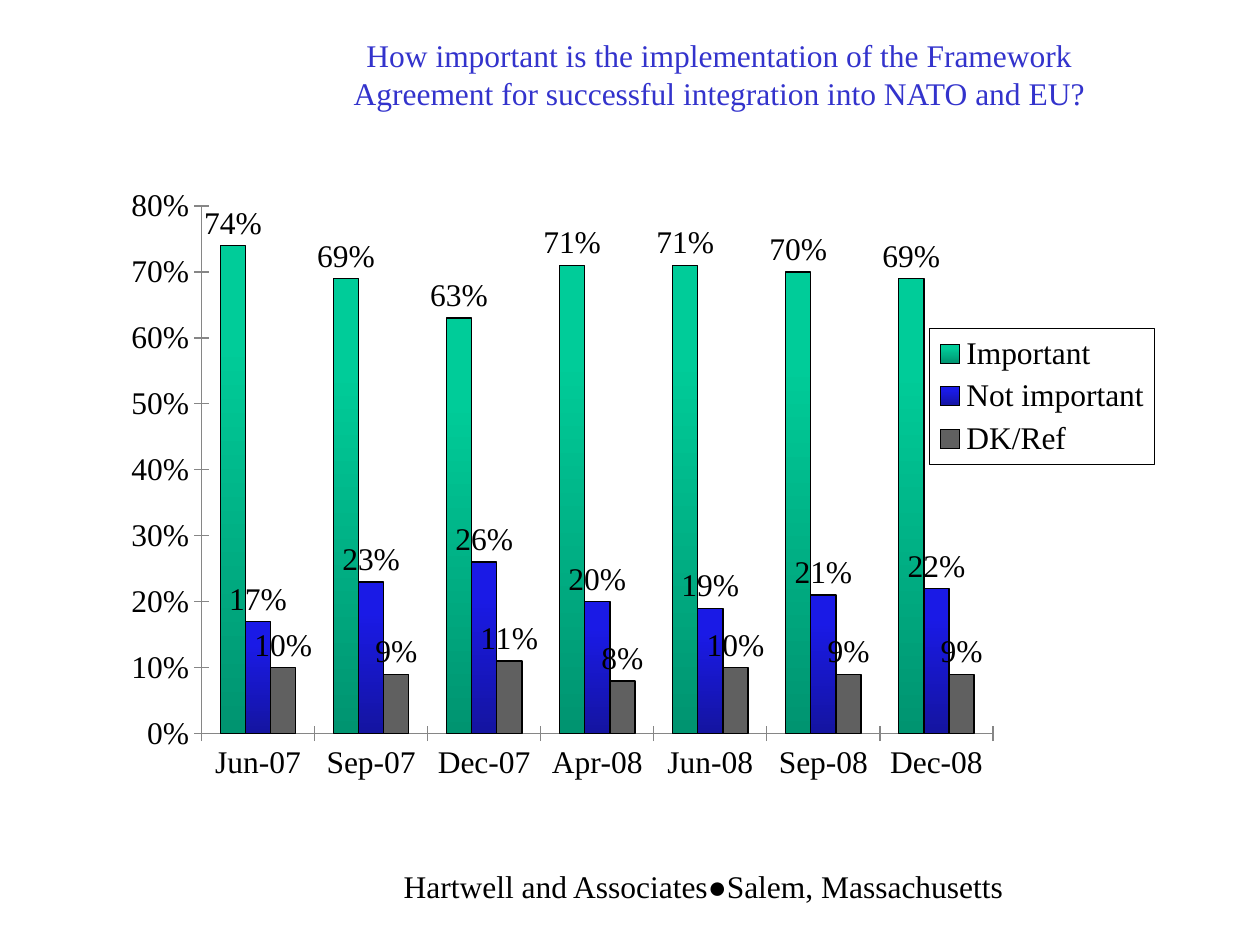
import pptx
import pptx.chart.data
import pptx.dml.color
import pptx.enum.chart
import pptx.enum.text
import pptx.oxml
import pptx.oxml.ns
import pptx.util

Inches, Pt = pptx.util.Inches, pptx.util.Pt
qn = pptx.oxml.ns.qn

# Content
QUESTION = ("How important is the implementation of the Framework Agreement "
            "for successful integration into NATO and EU?")
FOOTER = "Hartwell and Associates●Salem, Massachusetts"
MONTHS = ["Jun-07", "Sep-07", "Dec-07", "Apr-08", "Jun-08", "Sep-08", "Dec-08"]
# answer, percentages, fill colours from top to bottom
ANSWERS = [
    ("Important", [74, 69, 63, 71, 71, 70, 69], ("00CC99", "009470")),
    ("Not important", [17, 23, 26, 20, 19, 21, 22], ("1A1AE6", "1414A0")),
    ("DK/Ref", [10, 9, 11, 8, 10, 9, 9], ("606060",)),
]
FONT = {"name": "Times New Roman", "size": Pt(18)}
PLOT_AREA = (0.1, 0.071, 0.739, 0.773)
LEGEND_AREA = (0.78, 0.25, 0.21, 0.2)


def color(hex_code):
    return pptx.dml.color.RGBColor.from_string(hex_code)


def format_font(font, hex_code="000000"):
    for attribute, value in FONT.items():
        setattr(font, attribute, value)
    font.color.rgb = color(hex_code)


def add_text(slide, text, box, hex_code, anchor):
    frame = slide.shapes.add_textbox(*map(Inches, box)).text_frame
    frame.word_wrap = True
    frame.vertical_anchor = anchor
    paragraph = frame.paragraphs[0]
    paragraph.text = text
    paragraph.alignment = pptx.enum.text.PP_ALIGN.CENTER
    format_font(paragraph.runs[0].font, hex_code)


def manual_layout(area, target=""):
    """Layout element for an area given as fractions of the chart."""
    modes = '<c:xMode val="edge"/><c:yMode val="edge"/>'
    sizes = "".join(f'<c:{key} val="{value}"/>' for key, value in zip("xywh", area))
    return pptx.oxml.parse_xml(
        f'<c:layout {pptx.oxml.ns.nsdecls("c")}><c:manualLayout>'
        f"{target}{modes}{sizes}</c:manualLayout></c:layout>")


def fill_bars(fill, colors):
    if len(colors) == 1:
        fill.solid()
        fill.fore_color.rgb = color(colors[0])
        return
    fill.gradient()
    fill.gradient_angle = 270
    for stop, hex_code, position in zip(fill.gradient_stops, colors, (0.2, 1)):
        stop.color.rgb = color(hex_code)
        stop.position = position


def add_answer_chart(slide):
    data = pptx.chart.data.CategoryChartData(number_format="0%")
    data.categories = MONTHS
    for answer, percentages, _ in ANSWERS:
        data.add_series(answer, [value / 100 for value in percentages])
    chart = slide.shapes.add_chart(
        pptx.enum.chart.XL_CHART_TYPE.COLUMN_CLUSTERED,
        *map(Inches, (0.75, 1.25, 8.5, 5.42)), data).chart
    chart.has_title = False
    format_font(chart.font)

    # Axes
    for axis in (chart.category_axis, chart.value_axis):
        axis.has_major_gridlines = False
        axis.major_tick_mark = pptx.enum.chart.XL_TICK_MARK.CROSS
        axis.format.line.color.rgb = color("868686")
        format_font(axis.tick_labels.font)
    scale = chart.value_axis
    scale.minimum_scale, scale.maximum_scale, scale.major_unit = 0, 0.8, 0.1
    scale.tick_labels.number_format = "0%"
    scale.tick_labels.number_format_is_linked = False

    # Bars and their labels
    bars = chart.plots[0]
    for attribute, value in {"gap_width": 150, "overlap": 0,
                             "vary_by_categories": False}.items():
        setattr(bars, attribute, value)
    for series, (_, _, colors) in zip(bars.series, ANSWERS):
        fill_bars(series.format.fill, colors)
        series.format.line.color.rgb = color("000000")
        series.format.line.width = Pt(0.75)
        labels = series.data_labels
        for attribute, value in {
                "show_value": True, "number_format": "0%",
                "number_format_is_linked": False,
                "position": pptx.enum.chart.XL_LABEL_POSITION.OUTSIDE_END}.items():
            setattr(labels, attribute, value)
        format_font(labels.font)

    # Framed legend over the right edge of the plot
    chart.has_legend = True
    legend = chart.legend
    legend.position = pptx.enum.chart.XL_LEGEND_POSITION.RIGHT
    legend.include_in_layout = False
    format_font(legend.font)
    frame = pptx.oxml.parse_xml(
        f'<c:spPr {pptx.oxml.ns.nsdecls("c", "a")}>'
        '<a:solidFill><a:srgbClr val="FFFFFF"/></a:solidFill><a:ln w="9525">'
        '<a:solidFill><a:srgbClr val="000000"/></a:solidFill></a:ln></c:spPr>')

    # Fixed places of plot and legend
    root = chart.element
    plot_area = root.find(".//" + qn("c:plotArea"))
    legend_element = root.find(".//" + qn("c:legend"))
    for parent in (plot_area, legend_element):
        for layout in parent.findall(qn("c:layout")):
            parent.remove(layout)
    plot_area.insert(0, manual_layout(PLOT_AREA, '<c:layoutTarget val="inner"/>'))
    legend_element.find(qn("c:legendPos")).addnext(manual_layout(LEGEND_AREA))
    legend_element.find(qn("c:overlay")).addnext(frame)


def main():
    deck = pptx.Presentation()
    deck.slide_width, deck.slide_height = Inches(10), Inches(7.5)
    slide = deck.slides.add_slide(deck.slide_layouts[6])
    anchors = pptx.enum.text.MSO_ANCHOR
    add_text(slide, FOOTER, (3, 6.83, 5.17, 0.5), "000000", anchors.TOP)
    add_text(slide, QUESTION, (2.42, 0.25, 6.58, 0.67), "3333CC", anchors.MIDDLE)
    add_answer_chart(slide)
    deck.save("out.pptx")


if __name__ == "__main__":
    main()
